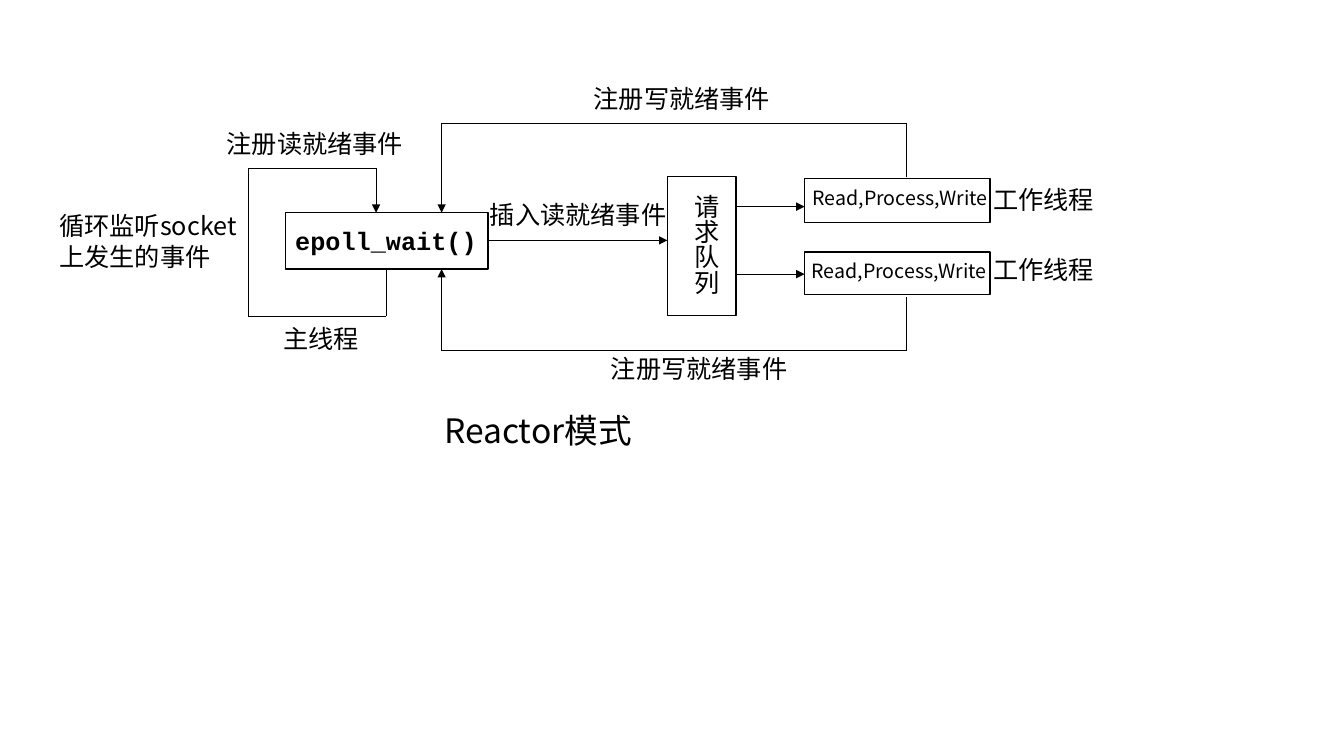
"""Build the Reactor pattern diagram on a grid of tenth-inch cells."""
from dataclasses import dataclass
from itertools import pairwise

from pptx import Presentation
from pptx.dml.color import RGBColor
from pptx.enum.shapes import MSO_CONNECTOR, MSO_SHAPE
from pptx.enum.text import MSO_ANCHOR, MSO_AUTO_SIZE, PP_ALIGN
from pptx.oxml.ns import qn
from pptx.util import Inches, Length, Pt

COLUMNS, ROWS = 133.3, 75
INK, PAPER = "000000", "FFFFFF"
CJK, MONO = "Noto Sans CJK SC", "Courier New"

Point = tuple[float, float]


@dataclass(frozen=True)
class Area:
    """A rectangle in grid columns and rows."""
    left: float
    top: float
    width: float
    height: float


@dataclass(frozen=True)
class Label:
    """A piece of text and its look."""
    words: str
    area: Area
    size: float = 18
    font: str = CJK
    bold: bool = False
    centred: bool = False
    vertical: bool = False


@dataclass(frozen=True)
class Route:
    """A path of straight lines, with or without a final arrowhead."""
    points: tuple[Point, ...]
    arrow: bool = True


def cells(count: float) -> Length:
    """Turn grid cells into a slide length."""
    return Inches(count / 10)


def color(code: str) -> RGBColor:
    """Turn a hex string into a colour."""
    return RGBColor.from_string(code)


def place(shape, area: Area) -> None:
    """Move and size a shape on the grid."""
    shape.left, shape.top = cells(area.left), cells(area.top)
    shape.width, shape.height = cells(area.width), cells(area.height)


def draw_box(shapes, area: Area) -> None:
    """Draw a white box with a black outline."""
    box = shapes.add_shape(MSO_SHAPE.RECTANGLE, 0, 0, 0, 0)
    place(box, area)
    box.shadow.inherit = False
    box.fill.solid()
    box.fill.fore_color.rgb = color(PAPER)
    box.line.color.rgb = color(INK)
    box.line.width = Pt(1)


def draw_route(shapes, route: Route) -> None:
    """Draw each leg of a route and put the arrowhead on the last."""
    for (x1, y1), (x2, y2) in pairwise(route.points):
        leg = shapes.add_connector(
            MSO_CONNECTOR.STRAIGHT, cells(x1), cells(y1), cells(x2), cells(y2))
        leg.line.color.rgb = color(INK)
        leg.line.width = Pt(0.5)
        properties = leg._element.spPr
        properties.append(properties.makeelement(qn("a:effectLst"), {}))
    if route.arrow:
        outline = leg.line._get_or_add_ln()
        outline.append(outline.makeelement(qn("a:tailEnd"), {"type": "triangle"}))


def write(holder, label: Label) -> None:
    """Place a text holder and fill it with one formatted run."""
    place(holder, label.area)
    frame = holder.text_frame
    frame.word_wrap = True
    frame.auto_size = MSO_AUTO_SIZE.SHAPE_TO_FIT_TEXT
    frame.vertical_anchor = MSO_ANCHOR.TOP
    if label.vertical:
        frame._txBody.bodyPr.set("vert", "eaVert")
    paragraph = frame.paragraphs[0]
    paragraph.alignment = PP_ALIGN.CENTER if label.centred else PP_ALIGN.LEFT
    run = paragraph.add_run()
    run.text = label.words
    run.font.name, run.font.size = label.font, Pt(label.size)
    run.font.bold = label.bold
    run.font.color.rgb = color(INK)
    properties = run._r.get_or_add_rPr()
    properties.append(properties.makeelement(qn("a:ea"), {"typeface": label.font}))


EPOLL = Area(28.3, 21.1, 20.1, 5.6)
QUEUE = Area(66.2, 17.5, 6.8, 13.8)
WORKERS = (Area(79.8, 17.7, 18.4, 4.4), Area(79.8, 25, 18.4, 4.2))

EPOLL_BOTTOM = EPOLL.top + EPOLL.height
EPOLL_RIGHT = EPOLL.left + EPOLL.width
QUEUE_RIGHT = QUEUE.left + QUEUE.width
WRITE_X, RETURN_X = 43.8, 89.9
LOOP_X, LOOP_TOP, LOOP_BOTTOM = 24.6, 16.7, 31.4
TOP_RAIL, BOTTOM_RAIL = 12.2, 34.8

ROUTES = (
    Route(((38.3, EPOLL_BOTTOM), (38.3, LOOP_BOTTOM), (LOOP_X, LOOP_BOTTOM),
           (LOOP_X, LOOP_TOP), (37.3, LOOP_TOP), (37.3, EPOLL.top))),
    Route(((EPOLL_RIGHT, 23.85), (QUEUE.left, 23.85))),
    *(Route(((QUEUE_RIGHT, y), (WORKERS[0].left, y))) for y in (20.5, 27.2)),
    Route(((RETURN_X, 17.6), (RETURN_X, TOP_RAIL),
           (WRITE_X, TOP_RAIL), (WRITE_X, EPOLL.top))),
    Route(((RETURN_X, 29.5), (RETURN_X, BOTTOM_RAIL),
           (WRITE_X, BOTTOM_RAIL), (WRITE_X, EPOLL_BOTTOM))),
)

LABELS = (
    Label("epoll_wait()", Area(28.3, 21.9, 20.6, 4), font=MONO, bold=True),
    Label("循环监听socket上发生的事件", Area(4.9, 20.4, 20.1, 7.1)),
    Label("注册读就绪事件", Area(21.5, 12.2, 20.1, 4)),
    Label("请求队列", Area(67, 18.3, 5, 12.6), vertical=True),
    Label("插入读就绪事件", Area(47.6, 19.3, 20, 4)),
    *(Label("注册写就绪事件", Area(x, y, 20.1, 4))
      for x, y in ((57.9, 7.8), (59.6, 34.6))),
    *(Label("工作线程", Area(96.5, y, 14, 4), centred=True)
      for y in (17.8, 24.7)),
    *(Label("Read,Process,Write", Area(x, y, 20.1, 3.4), size=14)
      for x, y in ((79.6, 18), (79.5, 25.2))),
    Label("主线程", Area(22.2, 31.6, 19.3, 4), centred=True),
)
TITLE = Label("Reactor模式", Area(39.4, 40.2, 27.9, 5), size=24, centred=True)


def main() -> None:
    """Build and save the slide."""
    deck = Presentation()
    deck.slide_width, deck.slide_height = cells(COLUMNS), cells(ROWS)
    slide = deck.slides.add_slide(deck.slide_layouts.get_by_name("Title Only"))
    write(slide.shapes.title, TITLE)
    for area in (EPOLL, QUEUE, *WORKERS):
        draw_box(slide.shapes, area)
    for route in ROUTES:
        draw_route(slide.shapes, route)
    for label in LABELS:
        write(slide.shapes.add_textbox(0, 0, 0, 0), label)
    deck.save("out.pptx")


main()
